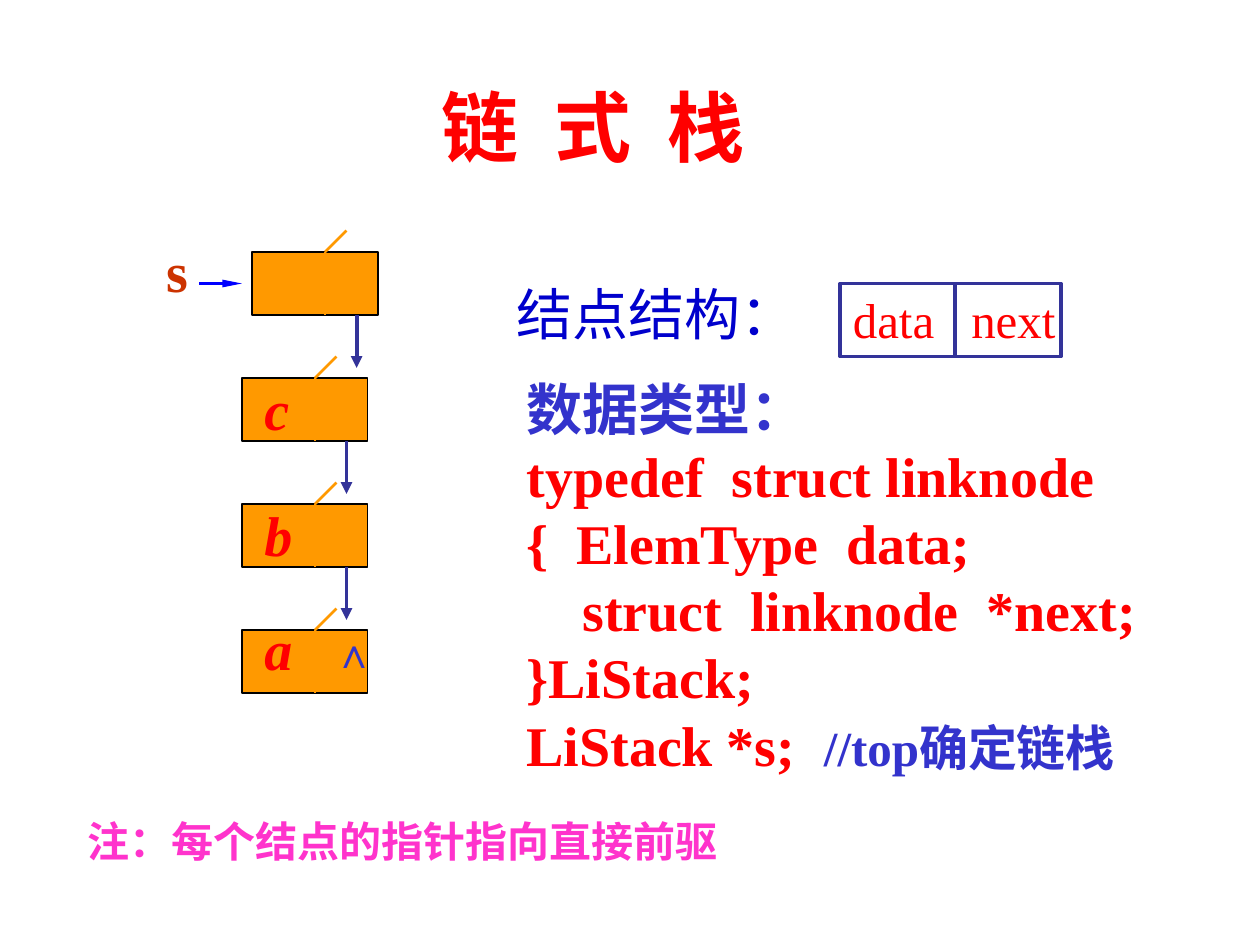
from dataclasses import dataclass
from lxml import etree
from pptx import Presentation
from pptx import util as u
from pptx.dml.color import RGBColor
from pptx.enum import shapes, text
from pptx.oxml.ns import qn

Inches, Pt = u.Inches, u.Pt


@dataclass(frozen=True)
class Theme:
    red: str = "FF0000"
    pink: str = "FF33CC"
    rust: str = "CC3300"
    royal: str = "0000CC"
    violet: str = "3333CC"
    navy: str = "333399"
    blue: str = "0000FF"
    orange: str = "FF9900"
    black: str = "000000"
    serif: str = "Times New Roman"
    sans: str = "Arial"
    cjk: str = "Noto Sans CJK SC"
    title: int = 44
    body: int = 32
    field: int = 28
    note: int = 24


theme = Theme()
prs = Presentation()
prs.slide_width, prs.slide_height = Inches(10), Inches(7.5)
slide = prs.slides.add_slide(prs.slide_layouts[5])


def write(box, lines, wrap=False, align=text.PP_ALIGN.LEFT):
    frame = box.text_frame
    frame.word_wrap = wrap
    for index, line in enumerate(lines):
        paragraph = frame.add_paragraph() if index else frame.paragraphs[0]
        paragraph.alignment = align
        for words, color, style in line:
            run = paragraph.add_run()
            run.text = words
            run.font.color.rgb = RGBColor.from_string(color)
            style = {"name": theme.serif, "size": theme.body, "bold": True} | style
            style["size"] = Pt(style["size"])
            for key, value in style.items():
                setattr(run.font, key, value)
            east_asian = etree.SubElement(run.font._element, qn("a:ea"))
            east_asian.set("typeface", theme.cjk if style["name"] == theme.cjk else theme.sans)
    return frame


def draw_line(start, end, color, width, head=None):
    line = slide.shapes.add_connector(
        shapes.MSO_CONNECTOR.STRAIGHT, *[Inches(v) for v in (*start, *end)])
    line.line.color.rgb = RGBColor.from_string(color)
    line.line.width = Pt(width)
    if head:
        tail = etree.SubElement(line.line._get_or_add_ln(), qn("a:tailEnd"))
        for key, value in zip(("type", "w", "len"), ("triangle", *head)):
            tail.set(key, value)
    etree.SubElement(line._element.spPr, qn("a:effectLst"))


heading = slide.shapes.title
heading.left, heading.top = Inches(1.33), Inches(0.58)
heading.width, heading.height = Inches(6.75), Inches(0.83)
heading_frame = write(heading, [[("链 式 栈", theme.red, {"name": theme.cjk, "size": theme.title})]],
                      True, text.PP_ALIGN.CENTER)
heading_frame.vertical_anchor = text.MSO_ANCHOR.MIDDLE
heading_frame.paragraphs[0].runs[0].font._element.set("spc", "530")

nodes = [(2, 2), (1.92, 3), (1.92, 4), (1.92, 5)]
cells = [(x, y, 1, 0.5, theme.orange, theme.black, 0.75) for x, y in nodes]
cells.append((6.67, 2.25, 1.75, 0.58, None, theme.navy, 2.25))
for x, y, width, height, fill, edge, weight in cells:
    cell = slide.shapes.add_shape(shapes.MSO_SHAPE.RECTANGLE,
                                  *[Inches(v) for v in (x, y, width, height)])
    cell.shadow.inherit = False
    if fill:
        cell.fill.solid()
        cell.fill.fore_color.rgb = RGBColor.from_string(fill)
    else:
        cell.fill.background()
    cell.line.color.rgb = RGBColor.from_string(edge)
    cell.line.width = Pt(weight)

for x, y in nodes:
    split = x + 0.58
    draw_line((split, y), (split, y + 0.5), theme.orange, 1.5)
    draw_line((split, y), (split + 0.17, y - 0.17), theme.orange, 1.5)
for x, y in nodes[:-1]:
    draw_line((x + 0.83, y + 0.5), (x + 0.83, y + 0.92), theme.navy, 2.25, ("med", "med"))
draw_line((1.58, 2.25), (1.92, 2.25), theme.blue, 2.25, ("sm", "lg"))
draw_line((7.58, 2.25), (7.58, 2.83), theme.navy, 2.25)

code = ["typedef  struct linknode", "{  ElemType  data;",
        "    struct  linknode  *next;", "}LiStack;"]
declaration = [[("数据类型：", theme.violet, {})]]
declaration += [[(line, theme.red, {})] for line in code]
declaration.append([("LiStack *s;  ", theme.red, {}),
                    ("//top确定链栈", theme.violet, {"size": theme.field})])

labels = [
    (0.6, 6.42, 5.2, 0.5, [[("注：每个结点的指针指向直接前驱", theme.pink, {"size": theme.note})]]),
    (4, 2.17, 2.42, 0.64, [[("结点结构：", theme.royal, {"bold": False})]]),
    (1.22, 1.83, 0.38, 0.64, [[("s", theme.rust, {})]]),
    (2.55, 4.92, 0.31, 0.5, [[("∧", theme.violet, {"name": theme.sans, "size": theme.note})]]),
]
for name, y, width in (("c", 2.92, 0.4), ("b", 3.92, 0.42), ("a", 4.83, 0.42)):
    labels.append((2, y, width, 0.64, [[(name, theme.red, {"italic": True})]]))
for x, y, width, height, lines in labels:
    label = slide.shapes.add_textbox(*[Inches(v) for v in (x, y, width, height)])
    write(label, lines).auto_size = text.MSO_AUTO_SIZE.SHAPE_TO_FIT_TEXT

listing = slide.shapes.add_textbox(Inches(4.08), Inches(2.92), Inches(5.3), Inches(3.3))
write(listing, declaration, True)

fields = slide.shapes.add_textbox(Inches(6.67), Inches(2.25), Inches(1.89), Inches(0.57))
fields_frame = write(fields, [[("data\tnext", theme.red, {"size": theme.field, "bold": False})]], True)
tabs = etree.SubElement(fields_frame.paragraphs[0]._p.get_or_add_pPr(), qn("a:tabLst"))
stop = etree.SubElement(tabs, qn("a:tab"))
stop.set("pos", str(Inches(0.94)))
stop.set("algn", "l")

prs.save("out.pptx")
